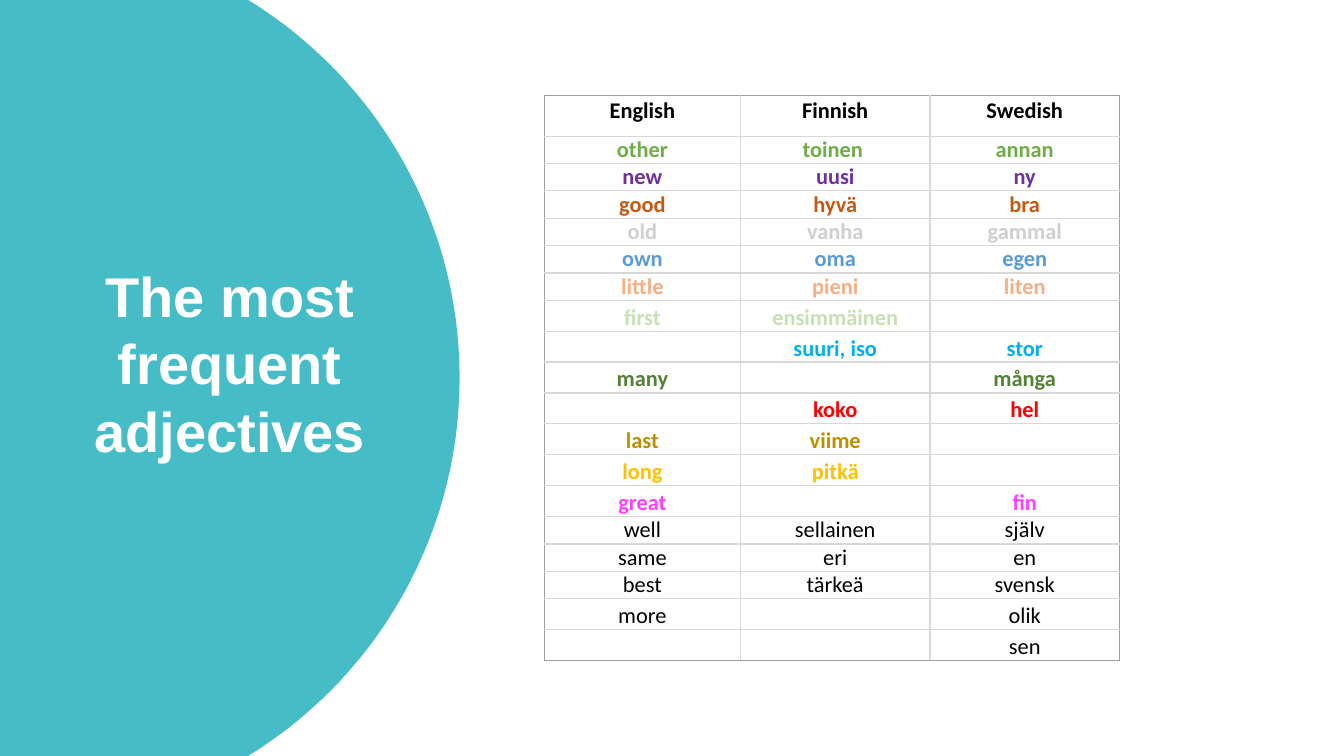
from math import asin, cos, sin
from lxml.etree import SubElement
from pptx import Presentation
from pptx.dml.color import RGBColor
from pptx.enum.text import MSO_ANCHOR as Anchor, PP_ALIGN as Align
from pptx.oxml import parse_xml
from pptx.oxml.ns import nsdecls, qn
from pptx.util import Inches, Pt

# Content: colour of the row, then its English, Finnish and Swedish words
TITLE = "The most frequent adjectives"
HEAD = ("000000", "English", "Finnish", "Swedish")
MATCHED = [
    ("70AD47", "other", "toinen ", "annan"),
    ("7030A0", "new", "uusi", "ny"),
    ("C65911", "good", "hyvä", "bra"),
    ("D0CECE", "old", "vanha", "gammal"),
    ("5B9BD5", "own", "oma", "egen"),
    ("F4B084", "little", "pieni", "liten"),
    ("C6E0B4", "first", "ensimmäinen", ""),
    ("00B0F0", "", "suuri, iso", "stor"),
    ("548235", "many", "", "många"),
    ("FF0000", "", "koko", "hel"),
    ("BF8F00", "last", "viime", ""),
    ("FFC000", "long", "pitkä", ""),
    ("FF40FF", "great", "", "fin"),
]
OTHER = [
    ("000000", "well", "sellainen", "själv"),
    ("000000", "same", "eri", "en"),
    ("000000", "best", "tärkeä", "svensk"),
    ("000000", "more", "", "olik"),
    ("000000", "", "", "sen"),
]
ROWS = [HEAD] + MATCHED + OTHER
BOLD = 1 + len(MATCHED)
COLS = (1.46, 1.41, 1.41)
WIDE = 10
HIGH = WIDE * 9 / 16
TEAL, EDGE, GRID = "46BDC6", "9E9E9E", "D8D8D8"


def tint(text):
    return RGBColor.from_string(text)


def style(para, face, size, color, bold):
    para.alignment = Align.CENTER
    font = para.font
    font.name, font.size, font.bold = face, Pt(size), bold
    font.color.rgb = tint(color)


def height(row):
    if row is HEAD:
        return 0.3
    return 0.2 if all(row) else 0.23


def border(cell, sides):
    props = cell._tc.get_or_add_tcPr()
    for spot, (tag, color) in enumerate(sides):
        line = parse_xml(f'<a:{tag} {nsdecls("a")} w="9525"/>')
        fill = SubElement(line, qn("a:solidFill"))
        SubElement(fill, qn("a:srgbClr"), val=color)
        props.insert(spot, line)


prs = Presentation()
prs.slide_width, prs.slide_height = Inches(WIDE), Inches(HIGH)
slide = prs.slides.add_slide(prs.slide_layouts[6])

# Word table
heights = [height(row) for row in ROWS]
frame = slide.shapes.add_table(
    len(ROWS), len(COLS), Inches(4.05), Inches(0.71),
    Inches(sum(COLS)), Inches(sum(heights)))
table = frame.table
table.first_row = table.horz_banding = False
for col, width in zip(table.columns, COLS):
    col.width = Inches(width)

last, end = len(ROWS) - 1, len(COLS) - 1
for r, (color, *words) in enumerate(ROWS):
    table.rows[r].height = Inches(heights[r])
    pad = 0.01 if r == 0 else 0
    for c, word in enumerate(words):
        cell = table.cell(r, c)
        cell.fill.background()
        cell.vertical_anchor = Anchor.BOTTOM
        cell.margin_left = cell.margin_right = cell.margin_top = Inches(pad)
        cell.margin_bottom = Inches(pad * 9)
        cell.text = word
        style(cell.text_frame.paragraphs[0], "Calibri", 12, color, r < BOLD)
        outer = {"lnL": c == 0, "lnR": c == end, "lnT": r == 0, "lnB": r == last}
        border(cell, [(tag, EDGE if out else GRID) for tag, out in outer.items()])

# Teal disc, cut off by the slide's edges; drawn in thousandths of an inch
RADIUS, MID_X, MID_Y, STEPS, FINE = 3.3, 0.12, HIGH / 2, 60, 1000
turn = asin(MID_Y / RADIUS)
angles = [turn * (2 * i / STEPS - 1) for i in range(STEPS + 1)]
arc = [(MID_X + RADIUS * cos(a), MID_Y + RADIUS * sin(a)) for a in angles]
pen = slide.shapes.build_freeform(0, 0, scale=Inches(1) / FINE)
pen.add_line_segments([(x * FINE, y * FINE) for x, y in arc + [(0, HIGH)]])
disc = pen.convert_to_shape()
disc.shadow.inherit = False
disc.fill.solid()
disc.fill.fore_color.rgb = tint(TEAL)
disc.line.fill.background()

# Title on the disc
box = disc.text_frame
box.word_wrap = True
box.vertical_anchor = Anchor.MIDDLE
box.margin_left = box.margin_right = Inches(0.07)
box.margin_top, box.margin_bottom = Inches(0.04), Inches(0.27)
box.text = TITLE
style(box.paragraphs[0], "Arial", 30, "FFFFFF", True)
box.paragraphs[0].line_spacing = Pt(36)

prs.save("out.pptx")
